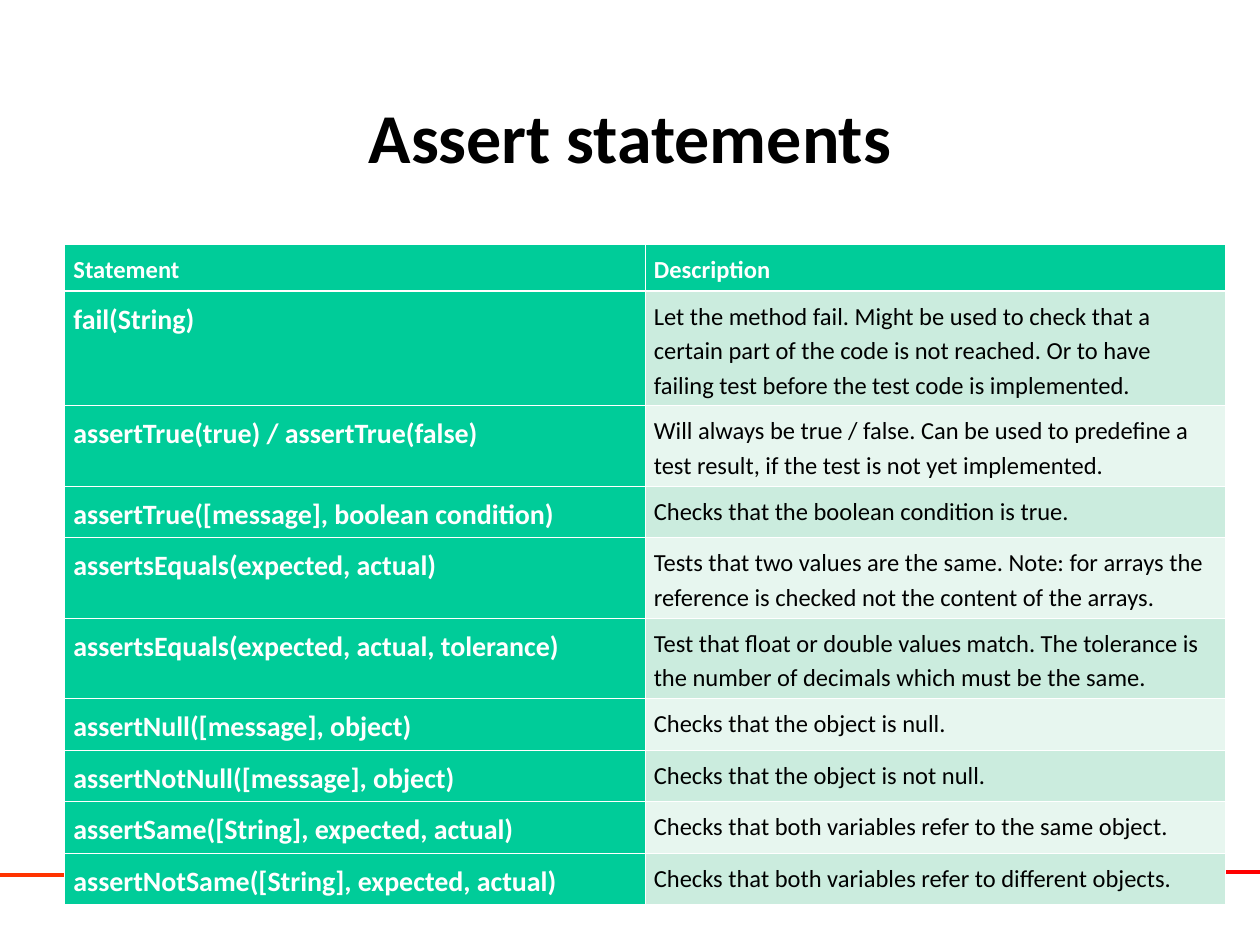
from pptx import Presentation
from pptx.dml.color import RGBColor
from pptx.enum.shapes import MSO_CONNECTOR
from pptx.enum.text import MSO_ANCHOR, PP_ALIGN
from pptx.oxml.ns import qn
from pptx.util import Cm, Pt
from lxml.etree import SubElement

# Content
TITLE = "Assert statements"
HEADER = ("Statement", "Description")
# (statement, description, row height in cm)
STATEMENTS = [
    ("fail(String)",
     "Let the method fail. Might be used to check that a certain part of the code "
     "is not reached. Or to have failing test before the test code is implemented.", 2.24),
    ("assertTrue(true) / assertTrue(false)",
     "Will always be true / false. Can be used to predefine a test result, "
     "if the test is not yet implemented.", 1.47),
    ("assertTrue([message], boolean condition)",
     "Checks that the boolean condition is true.", 0.79),
    ("assertsEquals(expected, actual)",
     "Tests that two values are the same. Note: for arrays the reference is checked "
     "not the content of the arrays.", 1.47),
    ("assertsEquals(expected, actual, tolerance)",
     "Test that float or double values match. The tolerance is the number of decimals "
     "which must be the same.", 1.47),
    ("assertNull([message], object)", "Checks that the object is null.", 0.79),
    ("assertNotNull([message], object)", "Checks that the object is not null.", 0.79),
    ("assertSame([String], expected, actual)",
     "Checks that both variables refer to the same object.", 0.79),
    ("assertNotSame([String], expected, actual)",
     "Checks that both variables refer to different objects.", 0.79),
]
HEADER_HEIGHT = 0.71
COLUMN_WIDTH = 11.7
# (start x, end x, y in cm, theme colour)
FOOTER_RULES = [(21.77, 25.4, 17.58, "rule_right"), (0, 20.19, 17.63, "rule_left")]

THEME = {
    "font": "Calibri",
    "text": "000000", "light": "FFFFFF", "accent": "00CC99",
    "bands": ("CBECDE", "E7F6EF"),
    "rule_left": "FF3300", "rule_right": "FF0000",
    "title_size": 40, "statement_size": 16, "body_size": 14,
    "rule_width": 2.25, "border": 0.45, "header_border": 1.47,
}


def write(frame, text, *, size, color, bold=False, align=PP_ALIGN.LEFT,
          line_spacing=None, space=0):
    frame.word_wrap = True
    paragraph = frame.paragraphs[0]
    paragraph.alignment = align
    paragraph.line_spacing = line_spacing
    paragraph.space_before = paragraph.space_after = Pt(space)
    run = paragraph.add_run()
    run.text = text
    run.font.name = THEME["font"]
    run.font.size = Pt(size)
    run.font.bold = bold
    run.font.color.rgb = RGBColor.from_string(color)


def set_borders(cell, widths):
    properties = cell._tc.get_or_add_tcPr()
    for position, (side, width) in enumerate(widths.items()):
        border = properties.makeelement(qn(f"a:{side}"), {"w": str(Pt(width))})
        fill = SubElement(border, qn("a:solidFill"))
        SubElement(fill, qn("a:srgbClr"), val=THEME["light"])
        properties.insert(position, border)


def fill_cell(cell, text, fill, *, top, bottom, **text_format):
    cell.fill.solid()
    cell.fill.fore_color.rgb = RGBColor.from_string(fill)
    cell.margin_left = cell.margin_right = Cm(0.18)
    cell.margin_top = cell.margin_bottom = Cm(0.13)
    cell.vertical_anchor = MSO_ANCHOR.TOP
    write(cell.text_frame, text, line_spacing=1.15, space=10, **text_format)
    thin = THEME["border"]
    set_borders(cell, {"lnL": thin, "lnR": thin, "lnT": top, "lnB": bottom})


def add_rule(slide, start, end, y, color):
    rule = slide.shapes.add_connector(MSO_CONNECTOR.STRAIGHT, Cm(start), Cm(y), Cm(end), Cm(y))
    rule.line.color.rgb = RGBColor.from_string(THEME[color])
    rule.line.width = Pt(THEME["rule_width"])
    SubElement(rule._element.spPr, qn("a:effectLst"))


def add_statement_table(slide):
    heights = [HEADER_HEIGHT] + [height for _, _, height in STATEMENTS]
    table = slide.shapes.add_table(
        len(heights), len(HEADER), Cm(1.3), Cm(4.93),
        Cm(COLUMN_WIDTH * len(HEADER)), Cm(sum(heights))).table
    for column in table.columns:
        column.width = Cm(COLUMN_WIDTH)
    for row, height in zip(table.rows, heights):
        row.height = Cm(height)

    thin, thick = THEME["border"], THEME["header_border"]
    for column, heading in enumerate(HEADER):
        fill_cell(table.cell(0, column), heading, THEME["accent"], top=thin, bottom=thick,
                  size=THEME["body_size"], color=THEME["light"], bold=True)
    for row, (statement, description, _) in enumerate(STATEMENTS, start=1):
        edges = {"top": thick if row == 1 else thin, "bottom": thin}
        fill_cell(table.cell(row, 0), statement, THEME["accent"], **edges,
                  size=THEME["statement_size"], color=THEME["light"], bold=True)
        fill_cell(table.cell(row, 1), description, THEME["bands"][(row - 1) % 2], **edges,
                  size=THEME["body_size"], color=THEME["text"])


def main():
    deck = Presentation()
    deck.slide_width, deck.slide_height = Cm(25.4), Cm(19.05)
    slide = deck.slides.add_slide(deck.slide_layouts[6])

    # Footer rules, behind the table
    for rule in FOOTER_RULES:
        add_rule(slide, *rule)

    # Title
    title = slide.shapes.add_textbox(Cm(1.9), Cm(1.14), Cm(21.6), Cm(3.18)).text_frame
    title.vertical_anchor = MSO_ANCHOR.MIDDLE
    write(title, TITLE, size=THEME["title_size"], color=THEME["text"], bold=True,
          align=PP_ALIGN.CENTER)

    # Statement table
    add_statement_table(slide)
    deck.save("out.pptx")


if __name__ == "__main__":
    main()
